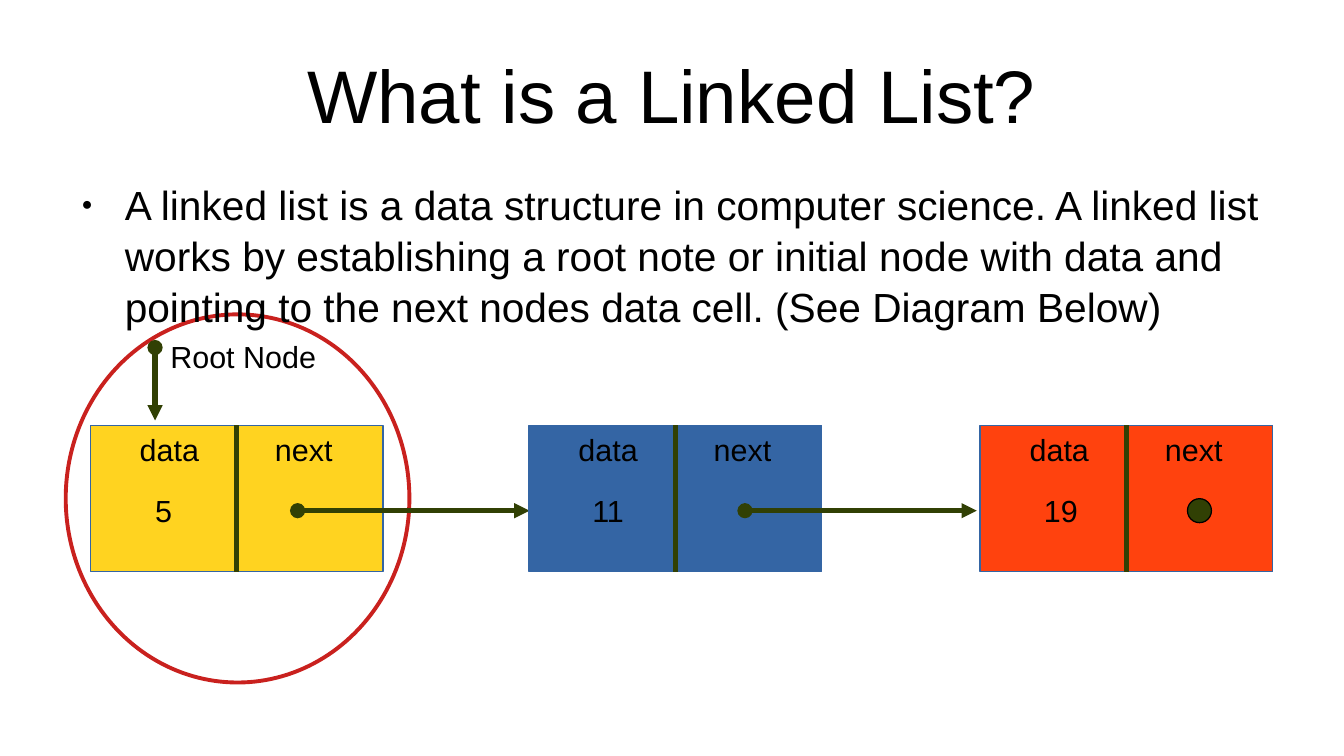
import lxml.etree
import pptx
import pptx.dml.color
import pptx.enum.shapes
import pptx.enum.text
import pptx.oxml.ns
import pptx.util

Cm = pptx.util.Cm
Pt = pptx.util.Pt
SHAPES = pptx.enum.shapes.MSO_SHAPE
ALIGN = pptx.enum.text.PP_ALIGN
ANCHOR = pptx.enum.text.MSO_ANCHOR
FONT = "Arial"
INK = "000000"
POINTER = "314004"
BORDER = "3465A4"
TITLE = "What is a Linked List?"
DEFINITION = (
    "A linked list is a data structure in computer science. A linked list works "
    "by establishing a root note or initial node with data and pointing to the "
    "next nodes data cell. (See Diagram Below)"
)
NODE_TOP, NODE_WIDTH, NODE_HEIGHT = 8.86, 6.1, 3.05
NODES = [
    (1.88, "FFD320", "5", 0.13, 4.32),
    (11.02, "3465A4", "11", 0.25, 4.5),
    (20.42, "FF420E", "19", 0.28, None),
]


def color(value):
    """Turn a hex string into a colour."""
    return pptx.dml.color.RGBColor.from_string(value)


def add_xml(parent, tag, **attributes):
    """Append a DrawingML element to parent."""
    return lxml.etree.SubElement(parent, pptx.oxml.ns.qn(tag), attributes)


def style_text(paragraph, size, align):
    """Set font and alignment of a paragraph."""
    paragraph.alignment = align
    paragraph.font.name = FONT
    paragraph.font.size = Pt(size)
    paragraph.font.color.rgb = color(INK)


def add_label(slide, text, left, top, width, align=ALIGN.CENTER):
    """Write one line of diagram text."""
    label = slide.shapes.add_textbox(Cm(left), Cm(top), Cm(width), Cm(0.97))
    label.text_frame.word_wrap = True
    label.text_frame.text = text
    style_text(label.text_frame.paragraphs[0], 18, align)


def add_outline(slide, preset, box, fill, line, width):
    """Draw a preset shape, unfilled when fill is None."""
    outline = slide.shapes.add_shape(preset, *map(Cm, box))
    outline.shadow.inherit = False
    if fill:
        outline.fill.solid()
        outline.fill.fore_color.rgb = color(fill)
    else:
        outline.fill.background()
    outline.line.color.rgb = color(line)
    outline.line.width = Pt(width)
    return outline


def add_stroke(slide, start, end, pointer=False):
    """Draw a divider, or a pointer with a round tail and an arrowhead."""
    stroke = slide.shapes.add_connector(
        pptx.enum.shapes.MSO_CONNECTOR.STRAIGHT, *map(Cm, start + end)
    )
    stroke.line.color.rgb = color(POINTER)
    stroke.line.width = Pt(3)
    properties = stroke._element.spPr
    if pointer:
        line = properties.find(pptx.oxml.ns.qn("a:ln"))
        add_xml(line, "a:headEnd", type="oval")
        add_xml(line, "a:tailEnd", type="triangle")
    add_xml(properties, "a:effectLst")


def fill_placeholder(placeholder, box, text, size, align, anchor):
    """Place and format a text placeholder; return its paragraph."""
    placeholder.left, placeholder.top, placeholder.width, placeholder.height = map(Cm, box)
    frame = placeholder.text_frame
    frame.margin_left = frame.margin_right = frame.margin_top = frame.margin_bottom = 0
    frame.auto_size = pptx.enum.text.MSO_AUTO_SIZE.NONE
    frame.vertical_anchor = anchor
    frame.text = text
    style_text(frame.paragraphs[0], size, align)
    return frame.paragraphs[0]


def add_title(slide, box):
    """Write the centred title."""
    fill_placeholder(slide.shapes.title, box, TITLE, 44, ALIGN.CENTER, ANCHOR.MIDDLE)


def add_definition(slide, box):
    """Write the bulleted definition."""
    definition = fill_placeholder(
        slide.placeholders[1], box, DEFINITION, 24, ALIGN.LEFT, ANCHOR.TOP
    )
    definition.space_before = Pt(0)
    definition.line_spacing = 1.05
    properties = definition._p.get_or_add_pPr()
    properties.set("marL", str(Cm(1.2)))
    properties.set("indent", str(Cm(-0.9)))
    bullet_parts = [
        add_xml(properties, "a:buSzPct", val="45000"),
        add_xml(properties, "a:buFont", typeface=FONT),
        add_xml(properties, "a:buChar", char="●"),
    ]
    for part in bullet_parts:
        properties.find(pptx.oxml.ns.qn("a:defRPr")).addprevious(part)


def add_node(slide, left, top, fill, value, value_offset, pointer_offset):
    """Draw a node with its data and next cells."""
    add_outline(
        slide, SHAPES.RECTANGLE, (left, top, NODE_WIDTH, NODE_HEIGHT), fill, BORDER, 0
    )
    add_label(slide, "data", left, top, 3.3)
    add_label(slide, "next", left + 2.8, top, 3.3)
    add_label(slide, value, left + value_offset, top + 1.27, 2.8)
    middle = left + NODE_WIDTH / 2
    add_stroke(slide, (middle, top + NODE_HEIGHT), (middle, top))
    if pointer_offset:
        start = left + pointer_offset
        add_stroke(slide, (start, top + 1.78), (start + 4.83, top + 1.78), True)
    else:
        end_dot = (left + 4.32, top + 1.53, 0.5, 0.5)
        add_outline(slide, SHAPES.OVAL, end_dot, POINTER, INK, 0)


def add_root_mark(slide, box):
    """Circle the root node behind the text and point to it."""
    left, top = box[:2]
    circle = add_outline(slide, SHAPES.OVAL, box, None, "C9211E", 2.3)
    slide.shapes.title._element.addprevious(circle._element)
    add_label(slide, "Root Node", left + 1.93, top + 0.36, 3.56, ALIGN.LEFT)
    add_stroke(slide, (left + 1.86, top + 0.69), (left + 1.86, top + 2.21), True)


def main():
    """Build and save the slide."""
    deck = pptx.Presentation()
    deck.slide_width, deck.slide_height = Cm(28), Cm(15.75)
    slide = deck.slides.add_slide(deck.slide_layouts[1])
    add_title(slide, (1.4, 0.63, 25.2, 2.63))
    add_definition(slide, (1.4, 3.69, 25.2, 9.13))
    for left, *node in NODES:
        add_node(slide, left, NODE_TOP, *node)
    add_root_mark(slide, (1.37, 6.55, 7.16, 7.67))
    deck.save("out.pptx")


if __name__ == "__main__":
    main()
